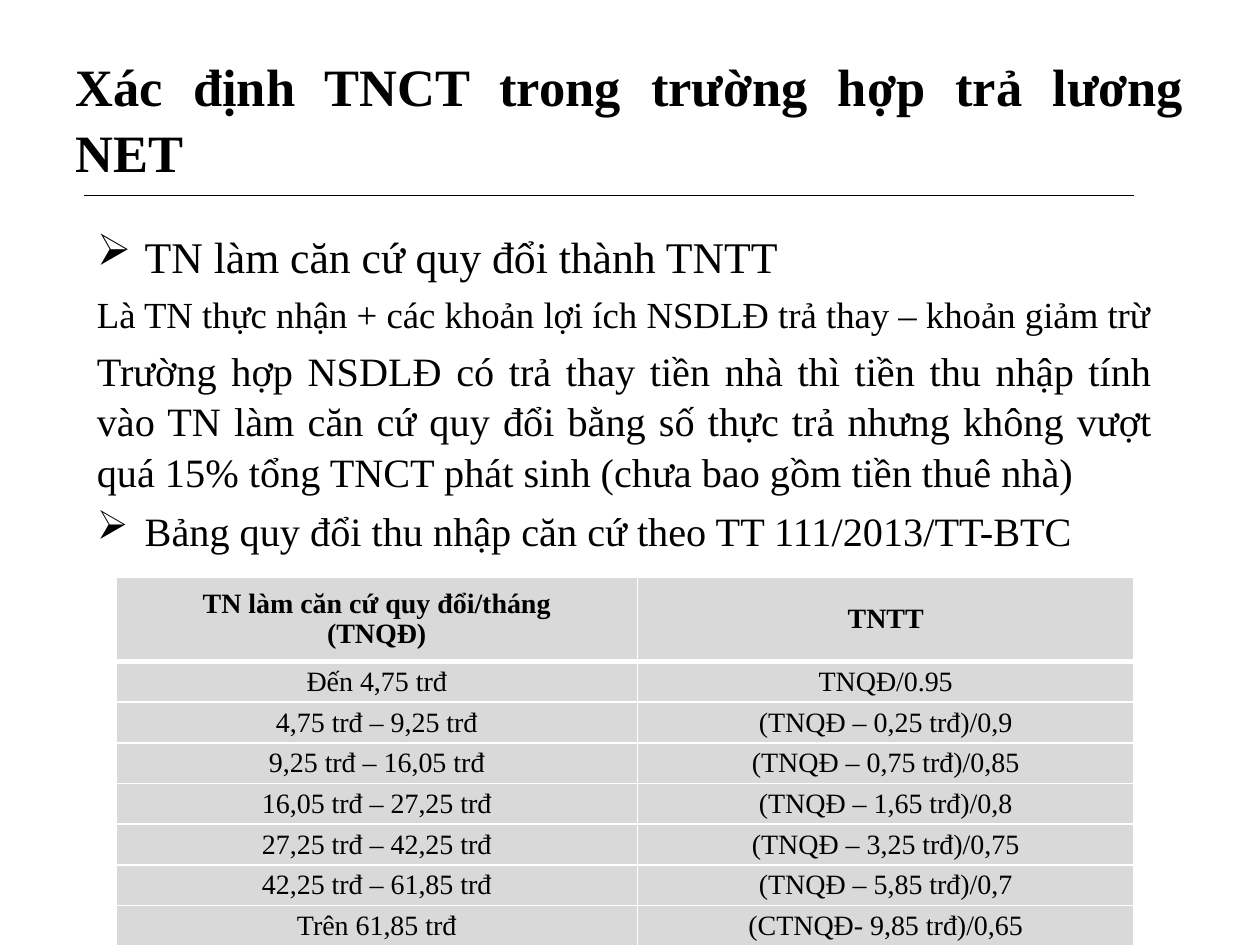
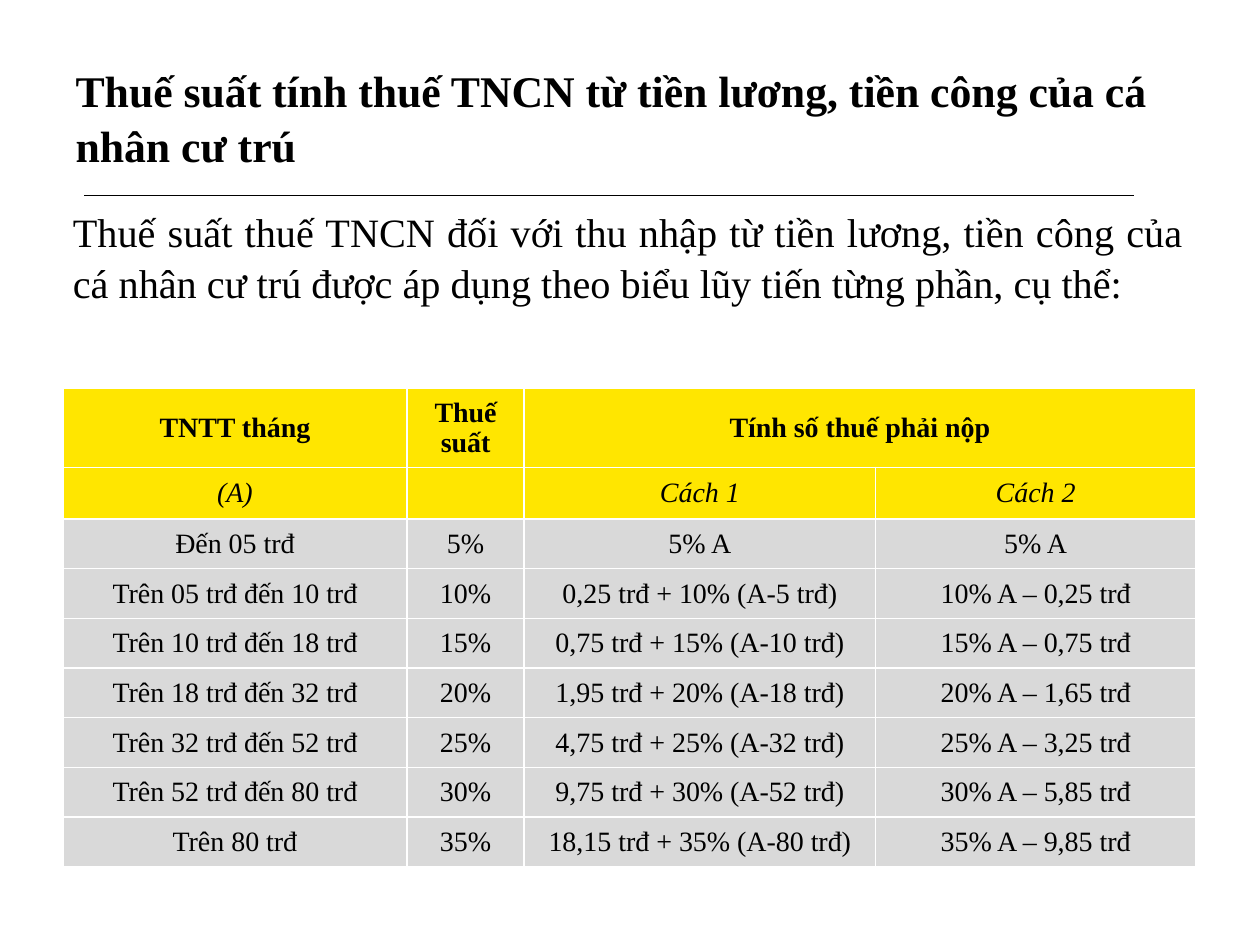
from lxml.etree import SubElement
from pptx import Presentation
from pptx.dml.color import RGBColor
from pptx.enum.shapes import MSO_CONNECTOR
from pptx.enum.text import MSO_ANCHOR, MSO_AUTO_SIZE, PP_ALIGN
from pptx.oxml import parse_xml
from pptx.oxml.ns import nsdecls, qn
from pptx.util import Inches, Pt

BLACK = RGBColor(0x00, 0x00, 0x00)
WHITE = RGBColor(0xFF, 0xFF, 0xFF)
GREY = RGBColor(0xD9, 0xD9, 0xD9)
YELLOW = RGBColor(0xFF, 0xE6, 0x00)
FONT = "Times New Roman"
TEXT_SPACING, CELL_SPACING = 1.05, 0.96
BULLET_INDENT = 0.38
TITLE_BOX = (0.5, 0.3, 9, 1.25)
RULE = (0.67, 1.55, 9, 1.55)
JUSTIFY, LEFT, CENTER = PP_ALIGN.JUSTIFY, PP_ALIGN.LEFT, PP_ALIGN.CENTER

SLIDES = [
    {
        "title": ("Xác định TNCT trong trường hợp trả lương NET", 30, JUSTIFY),
        "body_box": (0.67, 1.75, 8.58, 5.75),
        "body": [
            ("TN làm căn cứ quy đổi thành TNTT", 25, True),
            ("Là TN thực nhận + các khoản lợi ích NSDLĐ trả thay – khoản giảm trừ", 21, False),
            ("Trường hợp NSDLĐ có trả thay tiền nhà thì tiền thu nhập tính vào TN làm căn cứ "
             "quy đổi bằng số thực trả nhưng không vượt quá 15% tổng TNCT phát sinh "
             "(chưa bao gồm tiền thuê nhà)", 23, False),
            ("Bảng quy đổi thu nhập căn cứ theo TT 111/2013/TT-BTC", 23, True),
        ],
        "table_box": (0.92, 4.58, 8.08, 2.93),
        "columns": [4.14, 3.94],
        "header_heights": [0.67],
        "header_fill": GREY,
        "header_rule": 3,
        "merges": [],
        "rows": [
            ("TN làm căn cứ quy đổi/tháng\n(TNQĐ)", "TNTT"),
            ("Đến 4,75 trđ", "TNQĐ/0.95"),
            ("4,75 trđ – 9,25 trđ", "(TNQĐ – 0,25 trđ)/0,9"),
            ("9,25 trđ – 16,05 trđ", "(TNQĐ – 0,75 trđ)/0,85"),
            ("16,05 trđ – 27,25 trđ", "(TNQĐ – 1,65 trđ)/0,8"),
            ("27,25 trđ – 42,25 trđ", "(TNQĐ – 3,25 trđ)/0,75"),
            ("42,25 trđ – 61,85 trđ", "(TNQĐ – 5,85 trđ)/0,7"),
            ("Trên 61,85 trđ", "(CTNQĐ- 9,85 trđ)/0,65"),
        ],
    },
    {
        "title": ("Thuế suất tính thuế TNCN từ tiền lương, tiền công của cá nhân cư trú", 25, LEFT),
        "body_box": (0.48, 1.58, 9.02, 0.88),
        "body": [
            ("Thuế suất thuế TNCN đối với thu nhập từ tiền lương, tiền công của cá nhân cư trú "
             "được áp dụng theo biểu lũy tiến từng phần, cụ thể:", 23, False),
        ],
        "table_box": (0.5, 3.08, 9, 3.8),
        "columns": [2.73, 0.93, 2.79, 2.54],
        "header_heights": [0.63, 0.41],
        "header_fill": YELLOW,
        "header_rule": 1,
        "merges": [((0, 2), (0, 3))],
        "rows": [
            ("TNTT tháng", "Thuế suất", "Tính số thuế phải nộp", ""),
            ("(A)", "", "Cách 1", "Cách 2"),
            ("Đến 05 trđ", "5%", "5% A", "5% A"),
            ("Trên 05 trđ đến 10 trđ", "10%", "0,25 trđ + 10% (A-5 trđ)", "10% A – 0,25 trđ"),
            ("Trên 10 trđ đến 18 trđ", "15%", "0,75 trđ + 15% (A-10 trđ)", "15% A – 0,75 trđ"),
            ("Trên 18 trđ đến 32 trđ", "20%", "1,95 trđ + 20% (A-18 trđ)", "20% A – 1,65 trđ"),
            ("Trên 32 trđ đến 52 trđ", "25%", "4,75 trđ + 25% (A-32 trđ)", "25% A – 3,25 trđ"),
            ("Trên 52 trđ đến 80 trđ", "30%", "9,75 trđ + 30% (A-52 trđ)", "30% A – 5,85 trđ"),
            ("Trên 80 trđ", "35%", "18,15 trđ + 35% (A-80 trđ)", "35% A – 9,85 trđ"),
        ],
    },
]


def apply(target, **values):
    for name, value in values.items():
        setattr(target, name, value)


def inches(box):
    return [Inches(length) for length in box]


def format_paragraph(paragraph, size, alignment, spacing, bold=False, italic=False):
    apply(paragraph, alignment=alignment, line_spacing=spacing)
    apply(paragraph.font, name=FONT, size=Pt(size), bold=bold, italic=italic)
    paragraph.font.color.rgb = BLACK


def add_bullet(paragraph):
    properties = paragraph._p.get_or_add_pPr()
    indent = Inches(BULLET_INDENT)
    properties.set("marL", str(indent))
    properties.set("indent", str(-indent))
    SubElement(properties, qn("a:buChar")).set("char", "➢")


def add_title(slide, text, size, alignment):
    title = slide.shapes.title
    apply(title, **dict(zip(("left", "top", "width", "height"), inches(TITLE_BOX))))
    frame = title.text_frame
    frame.text = text
    apply(frame, vertical_anchor=MSO_ANCHOR.MIDDLE, auto_size=MSO_AUTO_SIZE.NONE, word_wrap=True)
    format_paragraph(frame.paragraphs[0], size, alignment, TEXT_SPACING, bold=True)


def add_rule(slide):
    rule = slide.shapes.add_connector(MSO_CONNECTOR.STRAIGHT, *inches(RULE))
    rule.line.color.rgb = BLACK
    rule.line.width = Pt(0.75)
    SubElement(rule._element.spPr, qn("a:effectLst"))


def add_body(slide, box, paragraphs):
    frame = slide.shapes.add_textbox(*inches(box)).text_frame
    frame.word_wrap = True
    for index, (text, size, bulleted) in enumerate(paragraphs):
        paragraph = frame.add_paragraph() if index else frame.paragraphs[0]
        paragraph.text = text
        if bulleted:
            add_bullet(paragraph)
        if index:
            paragraph.space_before = Pt(size * 0.2)
        format_paragraph(paragraph, size, JUSTIFY, TEXT_SPACING)


def set_borders(cell, top, bottom):
    properties = cell._tc.get_or_add_tcPr()
    widths = {"lnL": 1, "lnR": 1, "lnT": top, "lnB": bottom}
    for index, (side, width) in enumerate(widths.items()):
        properties.insert(index, parse_xml(
            f'<a:{side} {nsdecls("a")} w="{Pt(width)}"><a:solidFill>'
            f'<a:srgbClr val="{WHITE}"/></a:solidFill></a:{side}>'))


def add_rates_table(slide, content):
    rows, columns = content["rows"], content["columns"]
    headers, box = content["header_heights"], content["table_box"]
    table = slide.shapes.add_table(len(rows), len(columns), *inches(box)).table
    apply(table, first_row=False, horz_banding=False)
    for column, width in zip(table.columns, columns):
        column.width = Inches(width)
    data_height = (box[3] - sum(headers)) / (len(rows) - len(headers))
    heights = headers + [data_height] * (len(rows) - len(headers))
    rules = [1] + [content["header_rule"]] * len(headers) + [1] * len(rows)
    for r, values in enumerate(rows):
        table.rows[r].height = Inches(heights[r])
        is_header = r < len(headers)
        for c, text in enumerate(values):
            cell = table.cell(r, c)
            cell.text = text
            apply(cell, vertical_anchor=MSO_ANCHOR.MIDDLE, margin_left=Inches(0.01),
                  margin_right=Inches(0.01), margin_top=Inches(0.01), margin_bottom=0)
            cell.fill.solid()
            cell.fill.fore_color.rgb = content["header_fill"] if is_header else GREY
            set_borders(cell, rules[r], rules[r + 1])
            for paragraph in cell.text_frame.paragraphs:
                format_paragraph(paragraph, 16, CENTER, CELL_SPACING,
                                 bold=r == 0, italic=is_header and r > 0)
    for first, last in content["merges"]:
        table.cell(*first).merge(table.cell(*last))


def main():
    presentation = Presentation()
    apply(presentation, slide_width=Inches(10), slide_height=Inches(7.5))
    title_only = presentation.slide_layouts[5]
    for content in SLIDES:
        slide = presentation.slides.add_slide(title_only)
        add_title(slide, *content["title"])
        add_rule(slide)
        add_body(slide, content["body_box"], content["body"])
        add_rates_table(slide, content)
    presentation.save("out.pptx")


if __name__ == "__main__":
    main()
